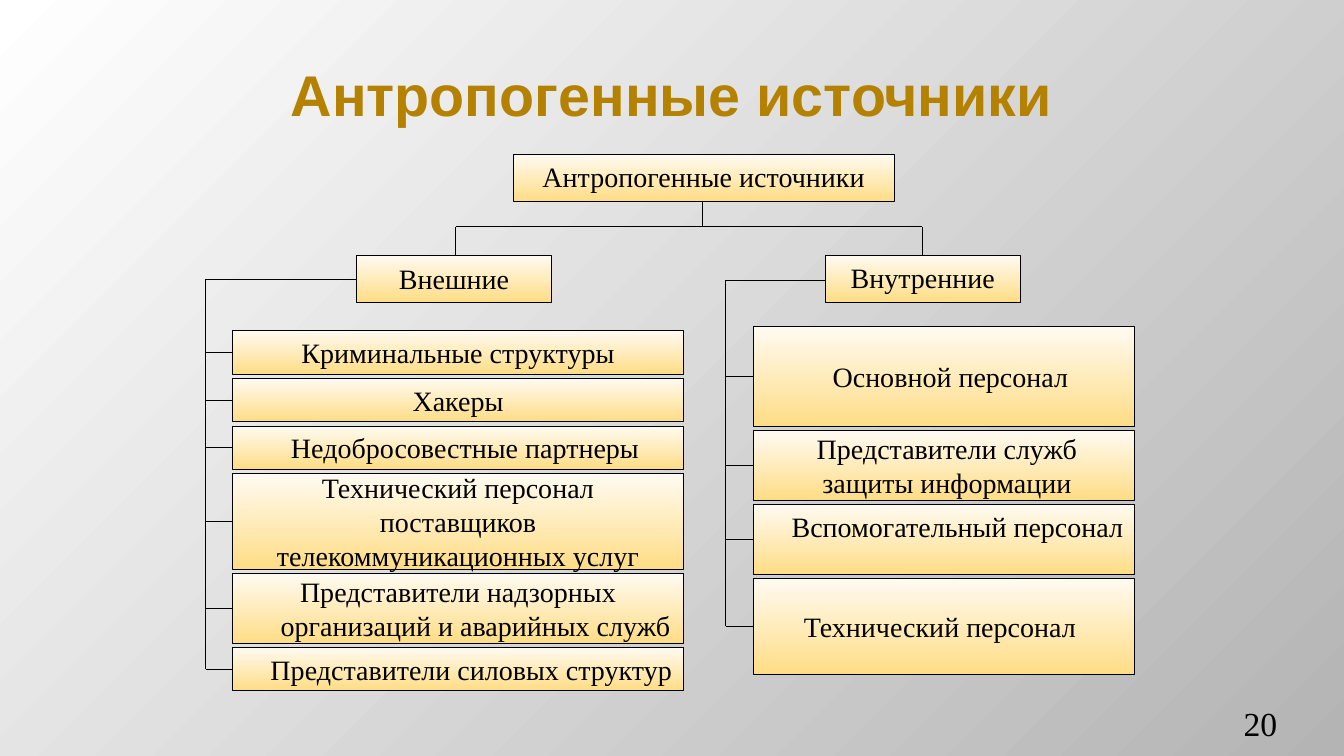
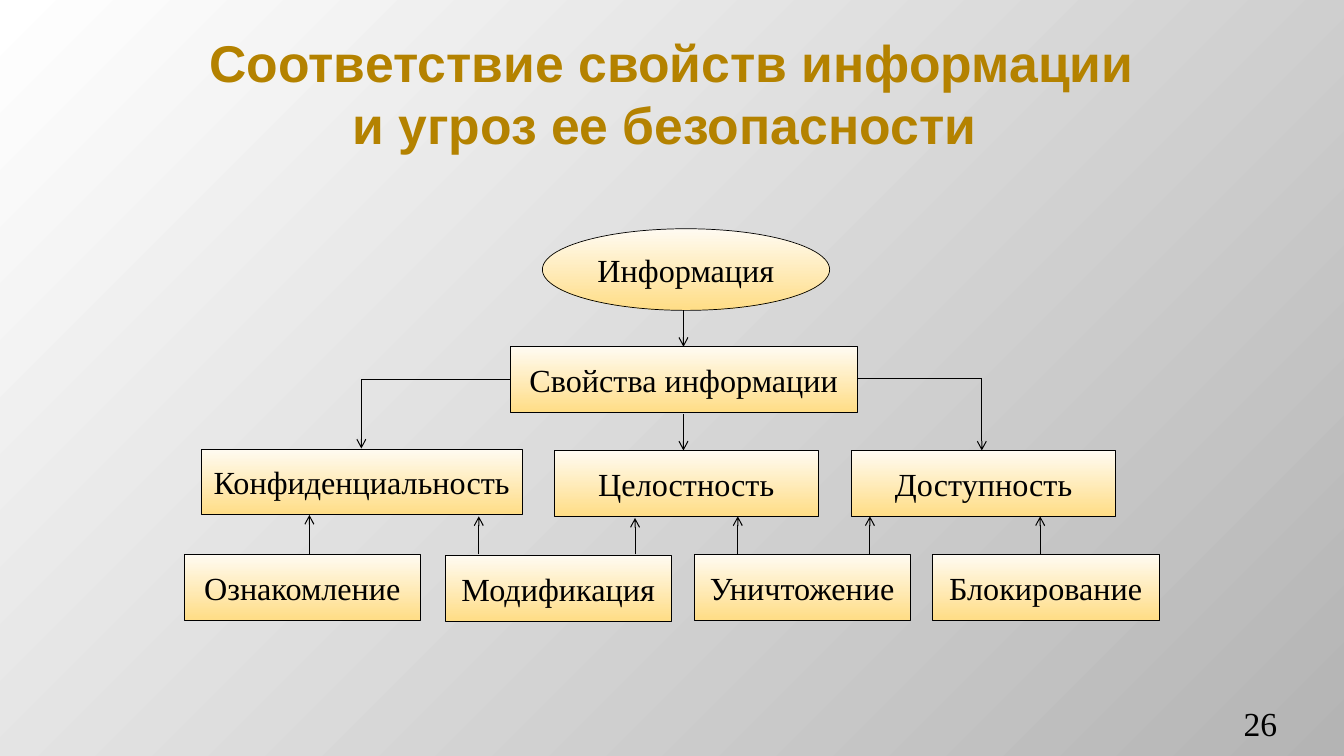
"""Builds two slides on information threat sources and information properties."""
from lxml import etree
from pptx import Presentation
from pptx.dml.color import RGBColor
from pptx.enum.shapes import MSO_CONNECTOR, MSO_SHAPE
from pptx.enum.text import MSO_ANCHOR, PP_ALIGN
from pptx.oxml.ns import qn
from pptx.util import Pt

RECTANGLE, OVAL = MSO_SHAPE.RECTANGLE, MSO_SHAPE.OVAL
STRAIGHT = MSO_CONNECTOR.STRAIGHT
TOP, MIDDLE, BOTTOM = MSO_ANCHOR.TOP, MSO_ANCHOR.MIDDLE, MSO_ANCHOR.BOTTOM
CENTER, RIGHT = PP_ALIGN.CENTER, PP_ALIGN.RIGHT

COLORS = {
    "title": "B48200", "ink": "000000",
    "paper_light": "FFFFFF", "paper_dark": "B4B4B4",
    "box_light": "FFFBF2", "box_dark": "FFDD86",
}
TITLE_FONT, BODY_FONT = "Arial", "Times New Roman"
SLIDE_WIDTH, SLIDE_HEIGHT = 960, 540
ROW_GAP = 3


def color(name):
    return RGBColor.from_string(COLORS[name])


def gradient(fill, first, last, angle):
    fill.gradient()
    fill.gradient_angle = angle
    for stop, name, position in zip(fill.gradient_stops, (first, last), (0, 1)):
        stop.color.rgb = color(name)
        stop.position = position


class Deck:
    def __init__(self):
        self.prs = Presentation()
        self.prs.slide_width, self.prs.slide_height = Pt(SLIDE_WIDTH), Pt(SLIDE_HEIGHT)
        gradient(self.prs.slide_master.background.fill, "paper_light", "paper_dark", 315)
        self.slide = None
        self.size = None

    def new_slide(self, title, title_size, title_width, number, body_size):
        self.slide = self.prs.slides.add_slide(self.prs.slide_layouts[6])
        self.size = body_size
        heading = self.text((SLIDE_WIDTH - title_width) / 2, 21.6, title_width, 90, MIDDLE)
        self.set_lines(heading, [(title, 0)], title_size, "title", TITLE_FONT, bold=True)
        page = self.text(832.3, 505.4, 79.9, 28.8, BOTTOM)
        page.margin_left = page.margin_right = 0
        self.set_lines(page, [(number, 0)], 24, align=RIGHT)

    def text(self, left, top, width, height, anchor):
        frame = self.slide.shapes.add_textbox(Pt(left), Pt(top), Pt(width), Pt(height)).text_frame
        frame.word_wrap = True
        frame.vertical_anchor = anchor
        return frame

    def set_lines(self, frame, lines, size, ink="ink", font=BODY_FONT, bold=False, align=CENTER):
        frame.text = "\n".join(line for line, _ in lines)
        for paragraph, (_, indent) in zip(frame.paragraphs, lines):
            paragraph.alignment = align
            paragraph.font.name, paragraph.font.size = font, Pt(size)
            paragraph.font.bold = bold
            paragraph.font.color.rgb = color(ink)
            if indent:
                paragraph._p.get_or_add_pPr().set("marL", str(Pt(indent)))

    def box(self, left, top, width, height, *lines, anchor=MIDDLE, kind=RECTANGLE):
        box = self.slide.shapes.add_shape(kind, Pt(left), Pt(top), Pt(width), Pt(height))
        box.shadow.inherit = False
        gradient(box.fill, "box_light", "box_dark", 270)
        box.line.color.rgb, box.line.width = color("ink"), Pt(0.5)
        box.text_frame.word_wrap = True
        box.text_frame.vertical_anchor = anchor
        self.set_lines(box.text_frame, lines, self.size)

    def line(self, x1, y1, x2, y2, arrow=False):
        line = self.slide.shapes.add_connector(STRAIGHT, Pt(x1), Pt(y1), Pt(x2), Pt(y2))
        line.line.color.rgb = color("ink")
        line.line.width = Pt(0.75 if arrow else 0.5)
        if arrow:
            etree.SubElement(line.line._get_or_add_ln(), qn("a:tailEnd"), type="arrow")
        etree.SubElement(line._element.spPr, qn("a:effectLst"))

    def branch(self, spine, header_left, header_middle, left, top, width, rows):
        self.line(header_left, header_middle, spine, header_middle)
        for height, anchor, *lines in rows:
            middle = top + height / 2
            self.box(left, top, width, height, *lines, anchor=anchor)
            self.line(spine, middle, left, middle)
            top += height + ROW_GAP
        self.line(spine, header_middle, spine, middle)


deck = Deck()

deck.new_slide("Антропогенные источники", 41, 864, "20", 20)
deck.box(366.5, 110.2, 272.2, 33.8, ("Антропогенные источники", 0), anchor=TOP)
deck.line(501.8, 144, 501.8, 162)
deck.line(325.4, 162, 658.8, 162)
for header, left, stem, anchor in (("Внешние", 254.9, 325.4, MIDDLE),
                                   ("Внутренние", 589.7, 658.8, TOP)):
    deck.line(stem, 162, stem, 182.2)
    deck.box(left, 182.2, 139, 33.8, (header, 0), anchor=anchor)

external = [
    (31, MIDDLE, ("Криминальные структуры", 0)),
    (31, MIDDLE, ("Хакеры", 0)),
    (31, MIDDLE, ("Недобросовестные партнеры", 10)),
    (68.4, MIDDLE, ("Технический персонал поставщиков телекоммуникационных услуг", 0)),
    (49.7, MIDDLE, ("Представители надзорных", 0), ("организаций и аварийных служб", 25)),
    (31, MIDDLE, ("Представители силовых структур", 19)),
]
internal = [
    (71.3, MIDDLE, ("Основной персонал", 10)),
    (49.7, MIDDLE, ("Представители служб защиты информации", 5)),
    (49.7, TOP, ("Вспомогательный персонал", 20)),
    (68.4, MIDDLE, ("Технический персонал ", 0)),
]
deck.branch(146.9, 254.9, 199.5, 166.3, 236.2, 321.8, external)
deck.branch(518.4, 589.7, 200.2, 537.8, 233.3, 272.2, internal)

deck.new_slide("Соответствие свойств информации и угроз ее безопасности ", 36.9, 696.2, "26", 23)
deck.box(387.4, 163.4, 205.2, 58.3, ("Информация", 0), kind=OVAL)
ROW_HEIGHT = 47
for label, left, top, width in (
        ("Свойства информации", 364.3, 247.7, 248.4),
        ("Конфиденциальность", 144, 320.8, 229),
        ("Целостность", 396, 321.8, 188.6),
        ("Доступность", 608.4, 321.8, 188.6),
        ("Ознакомление", 131.8, 396, 168.5),
        ("Модификация", 318.2, 396.7, 161.3),
        ("Уничтожение", 496.1, 396, 154.1),
        ("Блокирование", 666, 396, 162)):
    deck.box(left, top, width, ROW_HEIGHT, (label, 0))

for x, start, tip in ((488.2, 221.8, 247.7), (488.2, 295.9, 321.8),
                      (258.1, 271, 320.4), (701.3, 271, 321.8)):
    deck.line(x, start, x, tip, arrow=True)
deck.line(612.7, 270.4, 701.3, 270.4)
deck.line(258.1, 271, 364.3, 271)
for x, tip in ((221, 367.8), (342, 368.8), (453.6, 370), (527, 368.8), (621.4, 368.8), (743, 368.8)):
    deck.line(x, 396, x, tip, arrow=True)

deck.prs.save("out.pptx")
